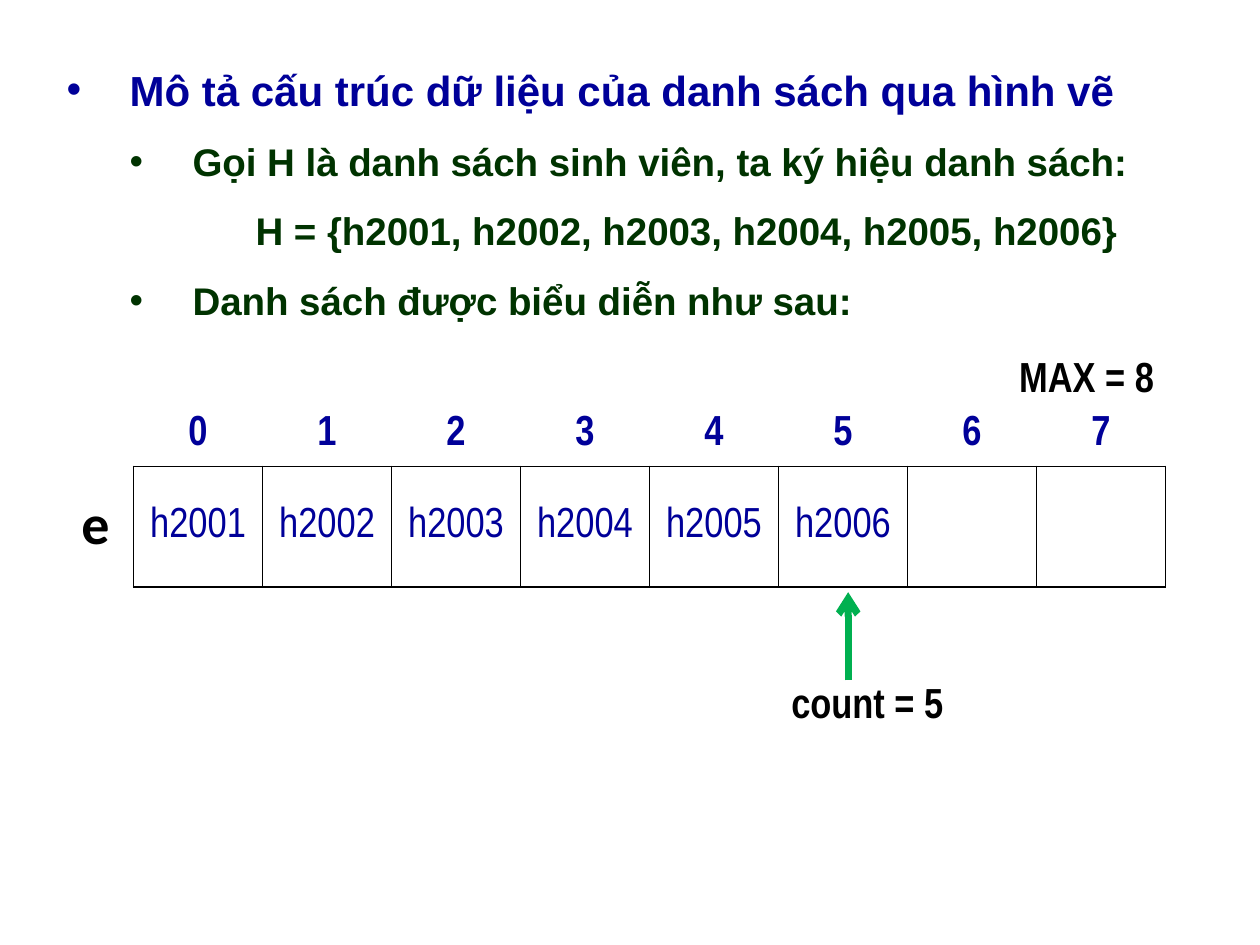
from lxml import etree
from pptx import Presentation, util as u
from pptx.dml.color import RGBColor
from pptx.enum import shapes, text
from pptx.oxml import ns

WIDE, HIGH = 10, 7.5
NAVY, PINE, BLACK, WHITE, GREEN = "000099", "003300", "000000", "FFFFFF", "00B050"
SIZE = 8
ITEMS = [f"h{2001 + i}" for i in range(6)]
LAST = len(ITEMS) - 1


def color(code):
    return RGBColor.from_string(code)


def add(root, tag, **attrs):
    return etree.SubElement(root, ns.qn(tag), attrs)


def style(para, size, face, code, bold=True):
    font = para.font
    font.size, font.name, font.bold = u.Pt(size), face, bold
    font.color.rgb = color(code)


def frame(slide, box, wrap):
    body = slide.shapes.add_textbox(*map(u.Inches, box)).text_frame
    body.word_wrap = wrap
    return body


def label(slide, box, words, size=24, face="Arial Narrow"):
    body = frame(slide, box, False)
    body.auto_size = text.MSO_AUTO_SIZE.SHAPE_TO_FIT_TEXT
    para = body.paragraphs[0]
    para.text = words
    style(para, size, face, BLACK)


def outline(slide, box):
    """Bulleted text: each row has words, size, colour, left edge, bullet."""
    rows = [
        ("Mô tả cấu trúc dữ liệu của danh sách qua hình vẽ", 24, NAVY, 0.5, True),
        ("Gọi H là danh sách sinh viên, ta ký hiệu danh sách:", 22, PINE, 1, True),
        ("H = {" + ", ".join(ITEMS) + "}", 22, PINE, 1.5, False),
        ("Danh sách được biểu diễn như sau:", 22, PINE, 1, True),
    ]
    body = frame(slide, box, True)
    for i, (words, size, code, left, dot) in enumerate(rows):
        para = body.add_paragraph() if i else body.paragraphs[0]
        para.text = words
        para.level = min(i, 1)
        para.alignment = text.PP_ALIGN.JUSTIFY
        para.space_before = u.Pt(12)
        para.line_spacing = 1.05
        style(para, size, "Arial", code)
        props = para._p.get_or_add_pPr()
        props.set("marL", str(u.Inches(left)))
        props.set("indent", str(u.Inches(-0.5 if dot else 0)))
        if dot:
            mark = etree.Element(ns.qn("a:buFont"), typeface="Arial")
            sign = etree.Element(ns.qn("a:buChar"), char="•")
            props.find(ns.qn("a:defRPr")).addprevious(mark)
            mark.addnext(sign)


def border(cell, sides):
    """Black 1 pt lines on the named sides, none on the others."""
    props = cell._tc.get_or_add_tcPr()
    for i, side in enumerate("LRTB"):
        line = etree.Element(ns.qn("a:ln" + side), w=str(u.Pt(1)))
        if side in sides:
            add(add(line, "a:solidFill"), "a:srgbClr", val=BLACK)
        else:
            add(line, "a:noFill")
        props.insert(i, line)


def array(slide, box, heights):
    """Index row above a row of boxed items."""
    grid = slide.shapes.add_table(2, SIZE, *map(u.Inches, box)).table
    grid.first_row = grid.horz_banding = False
    for col in grid.columns:
        col.width = u.Inches(box[2] / SIZE)
    values = [range(SIZE), ITEMS + [""] * (SIZE - len(ITEMS))]
    for r, (row, high) in enumerate(zip(values, heights)):
        grid.rows[r].height = u.Inches(high)
        for c, value in enumerate(row):
            cell = grid.cell(r, c)
            cell.fill.solid()
            cell.fill.fore_color.rgb = color(WHITE)
            cell.vertical_anchor = text.MSO_ANCHOR.MIDDLE
            para = cell.text_frame.paragraphs[0]
            para.text = str(value)
            para.alignment = text.PP_ALIGN.CENTER
            style(para, 24, "Arial Narrow", NAVY, r == 0)
            border(cell, "LRTB" if r else "B")


def arrow(slide, x, start, end):
    line = slide.shapes.add_connector(
        shapes.MSO_CONNECTOR.STRAIGHT, *map(u.Inches, (x, start, x, end)))
    line.line.color.rgb = color(GREEN)
    line.line.width = u.Pt(4)
    add(line.line._get_or_add_ln(), "a:tailEnd", type="arrow")
    add(line._element.spPr, "a:effectLst")


def diagram(slide, box):
    """The array with its name, capacity and count pointer."""
    left, top, wide, high = box
    step = wide / SIZE
    heights = (high * 0.33, high * 0.67)
    array(slide, box, heights)
    label(slide, (left - step / 2, top + heights[0] + 0.16, 0.35, 0.64),
          "e", 32, "Calibri")
    label(slide, (left + wide - 1.26, top - 0.47, 1.42, 0.5), f"MAX = {SIZE}")
    spot = left + (LAST + 0.54) * step
    label(slide, (spot - 0.55, top + high + 0.69, 1.42, 0.5), f"count = {LAST}")
    arrow(slide, spot, top + high + 0.77, top + high + 0.07)


def main():
    deck = Presentation()
    deck.slide_width, deck.slide_height = u.Inches(WIDE), u.Inches(HIGH)
    slide = deck.slides.add_slide(deck.slide_layouts[6])
    outline(slide, (0.43, 0.44, 9.21, 2.28))
    diagram(slide, (1.06, 3.2, 8.19, 1.43))
    deck.save("out.pptx")


if __name__ == "__main__":
    main()
